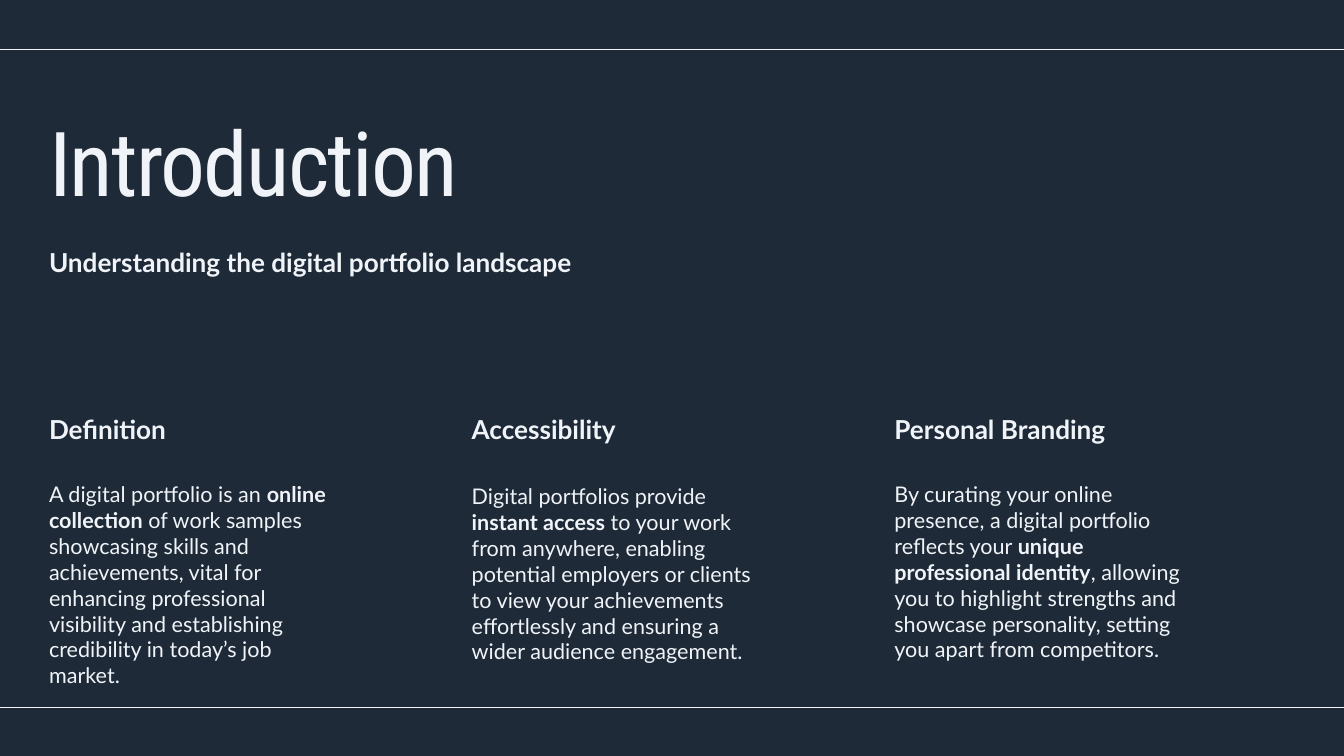
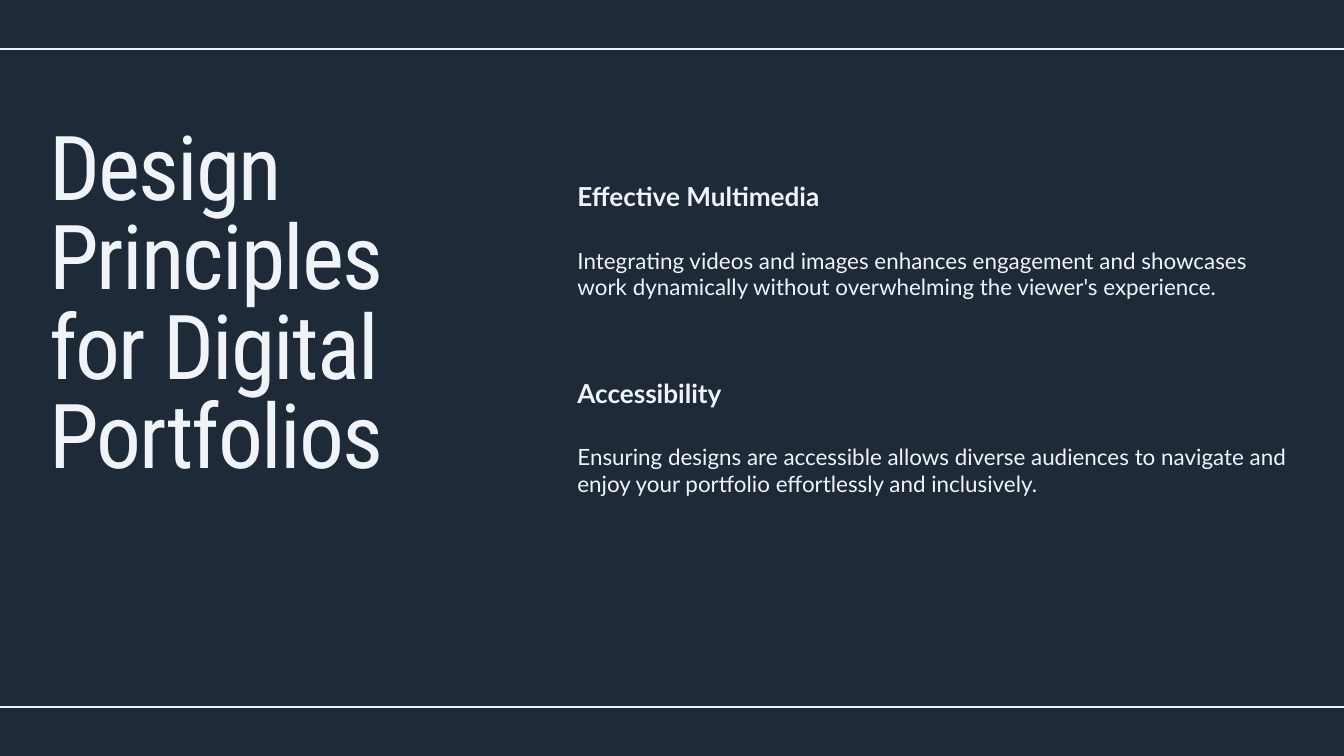
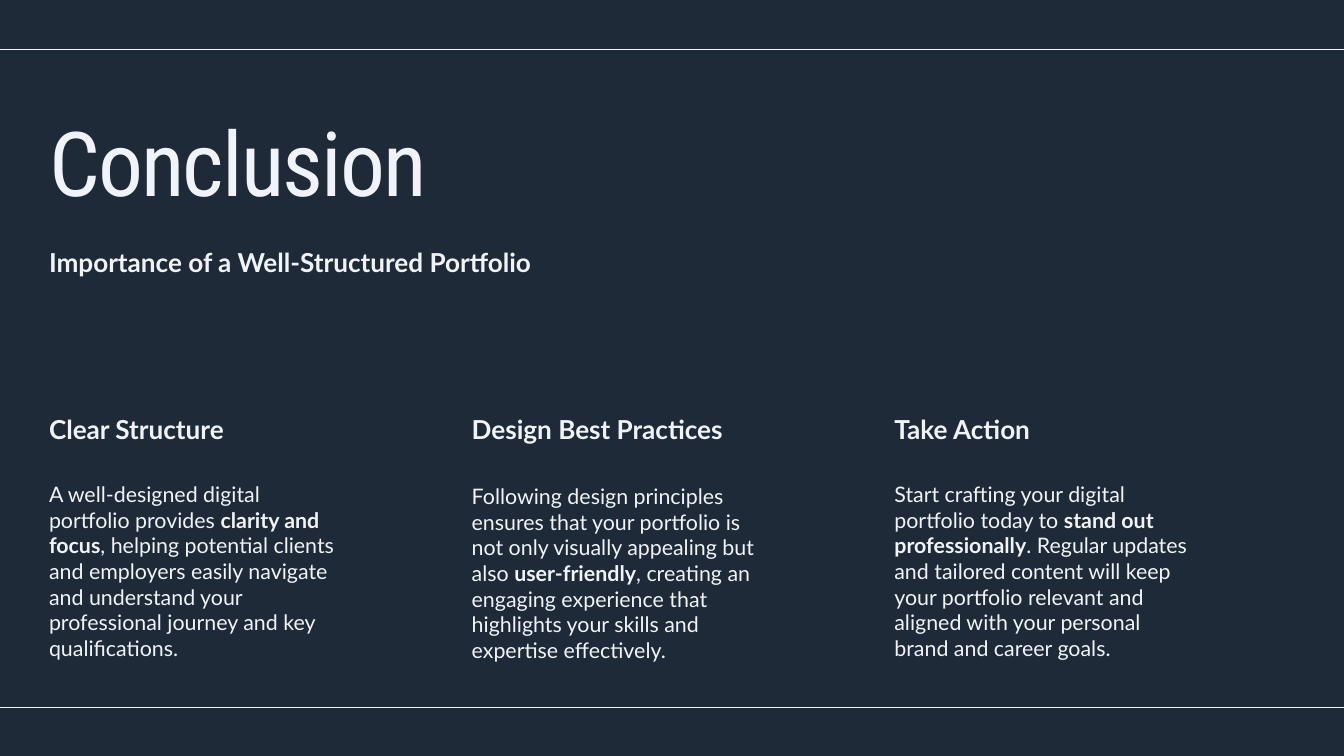
"""Build three dark portfolio slides on a grid of 12 columns and 45 rows."""
import collections
import dataclasses

import pptx
import pptx.dml.color
import pptx.enum.shapes
import pptx.enum.text
import pptx.oxml.ns
import pptx.util
from lxml import etree

Box = collections.namedtuple("Box", "col row cols rows")


@dataclasses.dataclass(frozen=True)
class Theme:
    """Hold the colours, fonts, type sizes and grid."""
    back: str = "1E2A38"
    ink: str = "F0F4F8"
    head: str = "Roboto Condensed"
    body: str = "Lato"
    title: float = 96
    label: float = 28
    text: float = 24
    lead: float = 1.2
    track: int = -190
    rule: float = 1.5
    wide: float = 20
    high: float = 11.25
    edge: float = 0.73
    gap: float = 0.33
    cols: int = 12
    rows: int = 45


T = Theme()
PITCH = (T.wide - 2 * T.edge + T.gap) / T.cols
ROW = T.high / T.rows
LABEL = 1.84


def tint(name):
    """Turn a hex name into a colour."""
    return pptx.dml.color.RGBColor.from_string(name)


def place(box):
    """Turn a grid box into left, top, width and height."""
    sides = (T.edge + box.col * PITCH, box.row * ROW,
             box.cols * PITCH - T.gap, box.rows * ROW)
    return [pptx.util.Inches(side) for side in sides]


def write(home, text, box, size=T.text, font=T.body, bold=False, lead=T.lead, track=0):
    """Add text to a slide or group, with parts between stars in bold."""
    frame = home.shapes.add_textbox(*place(box)).text_frame
    frame.word_wrap = True
    frame.auto_size = pptx.enum.text.MSO_AUTO_SIZE.SHAPE_TO_FIT_TEXT
    frame.margin_left = frame.margin_top = frame.margin_right = frame.margin_bottom = 0
    para = frame.paragraphs[0]
    para.line_spacing = pptx.util.Pt(size * lead)
    for turn, part in enumerate(text.split("*")):
        run = para.add_run()
        run.text = part
        run.font.size = pptx.util.Pt(size)
        run.font.name = font
        run.font.bold = bold or turn % 2 == 1
        run.font.color.rgb = tint(T.ink)
        if track:
            run.font._element.set("spc", str(track))


def title(home, text, box):
    """Write a slide title."""
    write(home, text, box, size=T.title, font=T.head, lead=1, track=T.track)


def label(home, text, box):
    """Write a bold heading."""
    write(home, text, box._replace(rows=LABEL), size=T.label, bold=True)


def entry(slide, name, text, box, drop, size=T.text):
    """Group a heading with its text, which starts drop rows lower."""
    group = slide.shapes.add_group_shape()
    label(group, name, box)
    write(group, text, box._replace(row=box.row + drop), size=size)


def start(deck):
    """Add a blank slide with the dark ground."""
    slide = deck.slides.add_slide(deck.slide_layouts[6])
    slide.background.fill.solid()
    slide.background.fill.fore_color.rgb = tint(T.back)
    return slide


def rules(slide, *rows):
    """Draw full-width lines at the given rows."""
    for row in rows:
        y = pptx.util.Inches(row * ROW)
        line = slide.shapes.add_connector(
            pptx.enum.shapes.MSO_CONNECTOR.STRAIGHT, 0, y, pptx.util.Inches(T.wide), y)
        line.line.color.rgb = tint(T.ink)
        line.line.width = pptx.util.Pt(T.rule)
        etree.SubElement(line._element.spPr, pptx.oxml.ns.qn("a:effectLst"))


def banner(slide, name, note, box):
    """Group a title with the line below it."""
    group = slide.shapes.add_group_shape()
    title(group, name, box)
    label(group, note, box._replace(row=box.row + 7.24))


def trio(deck, name, note, size, items):
    """Build a slide with a banner above three columns."""
    slide = start(deck)
    for spot, (head, text) in enumerate(items):
        drop = 4.16 if spot == 1 else 4.04
        entry(slide, head, text, Box(4 * spot, 24.6, 3, 10.52), drop, size=size)
    banner(slide, name, note, Box(0, 7.44, T.cols, 5.8))
    rules(slide, 2.96, 42.12)


def split(deck, name, items):
    """Build a slide with a title on the left and a stack on the right."""
    slide = start(deck)
    for spot, (head, text) in enumerate(items):
        entry(slide, head, text, Box(5, 10.76 + 11.72 * spot, 7, 3.16), 3.92)
    title(slide, name, Box(0, 7.64, 4, 21.6))
    rules(slide, 2.92, 42.08)


def main():
    """Build and save the deck."""
    deck = pptx.Presentation()
    deck.slide_width = pptx.util.Inches(T.wide)
    deck.slide_height = pptx.util.Inches(T.high)
    trio(deck, "Introduction", "Understanding the digital portfolio landscape", 23.1, [
        ("Definition",
         "A digital portfolio is an *online collection* of work samples showcasing skills "
         "and achievements, vital for enhancing professional visibility and establishing "
         "credibility in today’s job market."),
        ("Accessibility",
         "Digital portfolios provide *instant access* to your work from anywhere, enabling "
         "potential employers or clients to view your achievements effortlessly and "
         "ensuring a wider audience engagement."),
        ("Personal Branding",
         "By curating your online presence, a digital portfolio reflects your *unique "
         "professional identity*, allowing you to highlight strengths and showcase "
         "personality, setting you apart from competitors."),
    ])
    split(deck, "Design Principles for Digital Portfolios", [
        ("Effective Multimedia",
         "Integrating videos and images enhances engagement and showcases work "
         "dynamically without overwhelming the viewer's experience."),
        ("Accessibility",
         "Ensuring designs are accessible allows diverse audiences to navigate and enjoy "
         "your portfolio effortlessly and inclusively."),
    ])
    trio(deck, "Conclusion", "Importance of a Well-Structured Portfolio", 22.9, [
        ("Clear Structure",
         "A well-designed digital portfolio provides *clarity and focus*, helping "
         "potential clients and employers easily navigate and understand your "
         "professional journey and key qualifications."),
        ("Design Best Practices",
         "Following design principles ensures that your portfolio is not only visually "
         "appealing but also *user-friendly*, creating an engaging experience that "
         "highlights your skills and expertise effectively."),
        ("Take Action",
         "Start crafting your digital portfolio today to *stand out professionally*. "
         "Regular updates and tailored content will keep your portfolio relevant and "
         "aligned with your personal brand and career goals."),
    ])
    deck.save("out.pptx")


if __name__ == "__main__":
    main()
